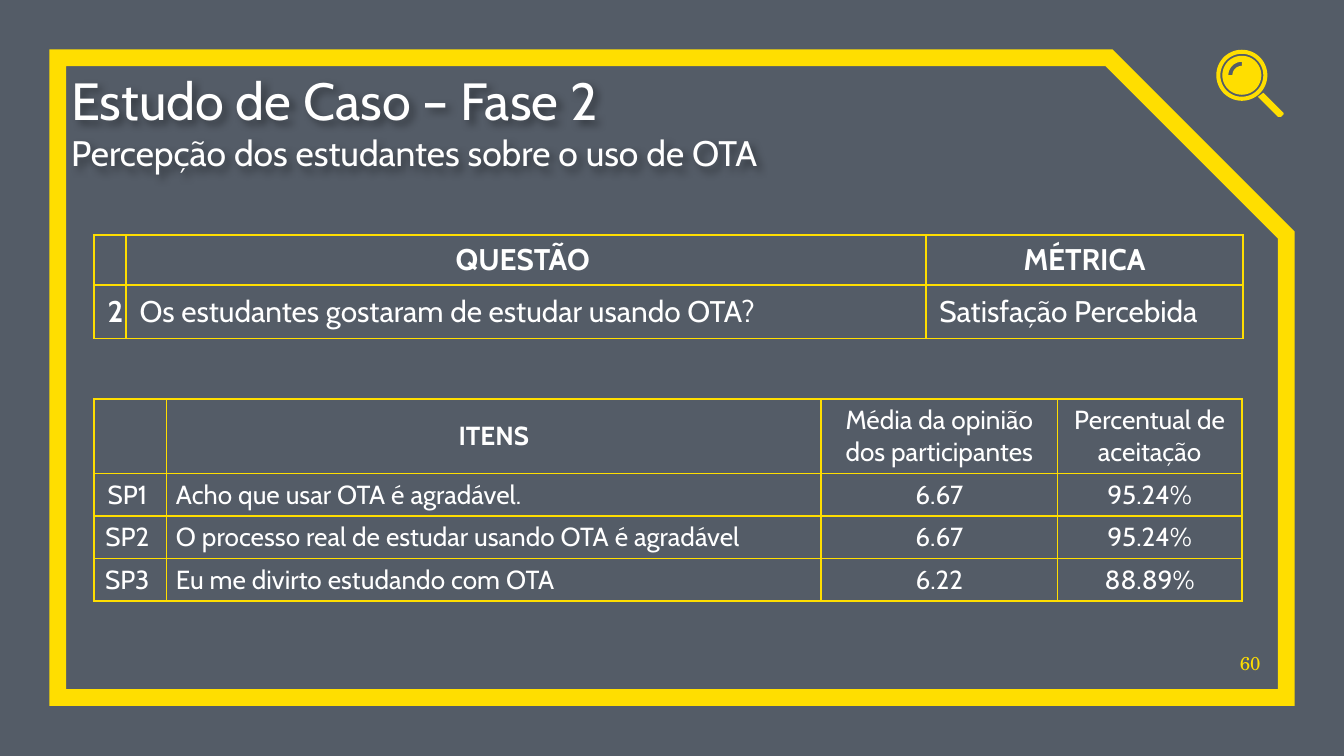
import math
from dataclasses import dataclass

import pptx
import pptx.dml.color
import pptx.enum.shapes
import pptx.enum.text
import pptx.oxml
import pptx.oxml.ns
import pptx.util
from pptx.util import Inches

YELLOW, WHITE, SLATE = "FFDE00", "FFFFFF", "545C67"
FONT = "Cabin"
NS = pptx.oxml.ns.nsdecls("a")
ALIGN = pptx.enum.text.PP_ALIGN
ANCHOR = pptx.enum.text.MSO_ANCHOR
SHAPE = pptx.enum.shapes.MSO_SHAPE
Point = tuple[float, float]


@dataclass
class Cell:
    text: str = ""
    bold: bool = False
    left: bool = False


@dataclass
class Grid:
    top: float
    size: int
    cols: list[float]
    rows: list[float]
    cells: list[list[Cell]]
    pad: tuple[float, float] = (0.1, 0.05)


# Rows grow to fit their text, so these heights are the least ones.
GRIDS = [
    Grid(1.75, 16, [0.23, 5.95, 2.36], [0.28, 0.4], [
        [Cell(), Cell("QUESTÃO ", bold=True), Cell("MÉTRICA", bold=True)],
        [Cell("2", bold=True),
         Cell("Os estudantes gostaram de estudar usando OTA?", left=True),
         Cell("Satisfação Percebida", left=True)],
    ]),
    Grid(2.97, 14, [0.54, 4.87, 1.76, 1.37], [0.32, 0.2, 0.25, 0.25], [
        [Cell(), Cell("ITENS", bold=True),
         Cell("Média da opinião\ndos participantes"),
         Cell("Percentual de\naceitação")],
        *([Cell(code), Cell(item, left=True), Cell(mean), Cell(rate)]
          for code, item, mean, rate in [
              ("SP1 ", "Acho que usar OTA é agradável.", "6.67", "95.24%"),
              ("SP2 ", "O processo real de estudar usando OTA é agradável",
               "6.67", "95.24%"),
              ("SP3 ", "Eu me divirto estudando com OTA", "6.22", "88.89%"),
          ]),
    ], (0.07, 0.04)),
]


def color(code: str) -> pptx.dml.color.RGBColor:
    return pptx.dml.color.RGBColor.from_string(code)


def paint(fill, code: str) -> None:
    fill.solid()
    fill.fore_color.rgb = color(code)


def style(run, size: float, code: str = WHITE, name: str = FONT,
          bold: bool = False) -> None:
    form = {"size": pptx.util.Pt(size), "name": name, "bold": bold}
    for key, value in form.items():
        setattr(run.font, key, value)
    run.font.color.rgb = color(code)


def setup(frame) -> None:
    """Drop the insets and seat the text at the bottom."""
    form = {"margin_left": 0, "margin_right": 0, "margin_top": 0,
            "margin_bottom": 0, "word_wrap": True,
            "vertical_anchor": ANCHOR.BOTTOM,
            "auto_size": pptx.enum.text.MSO_AUTO_SIZE.NONE}
    for key, value in form.items():
        setattr(frame, key, value)


def place(shape, left: float, top: float, width: float, height: float) -> None:
    shape.left, shape.top = Inches(left), Inches(top)
    shape.width, shape.height = Inches(width), Inches(height)


def draw_frame(slide) -> None:
    frame = slide.shapes.add_shape(
        SHAPE.SNIP_1_RECTANGLE, Inches(0.43), Inches(0.43),
        Inches(9.14), Inches(4.76))
    frame.adjustments[0] = 0.277
    frame.shadow.inherit = False
    frame.fill.background()
    paint(frame.line.fill, YELLOW)
    frame.line.width = pptx.util.Pt(9)
    frame.line._get_or_add_ln().append(
        pptx.oxml.parse_xml(f'<a:miter {NS} lim="800000"/>'))


def draw_title(slide) -> None:
    title = slide.shapes.title
    place(title, 0.53, 0.54, 8.41, 0.75)
    frame = title.text_frame
    frame.text = ("Estudo de Caso – Fase 2\n"
                  "Percepção dos estudantes sobre o uso de OTA")
    setup(frame)
    for para, size in zip(frame.paragraphs, (28, 19)):
        para.alignment = ALIGN.LEFT
        style(para.runs[0], size)
    title.fill.background()
    title._element.spPr.append(pptx.oxml.parse_xml(
        f'<a:effectLst {NS}><a:outerShdw blurRad="50800" dist="38100" '
        'dir="2700000" algn="tl" rotWithShape="0"><a:srgbClr val="000000">'
        '<a:alpha val="40000"/></a:srgbClr></a:outerShdw></a:effectLst>'))


def draw_page(slide) -> None:
    box = slide.shapes.add_textbox(
        Inches(9.11), Inches(4.74), Inches(0.27), Inches(0.28))
    setup(box.text_frame)
    para = box.text_frame.paragraphs[0]
    para.alignment = ALIGN.RIGHT
    run = para.add_run()
    run.text = "60"
    style(run, 10, YELLOW, "TeX Gyre Schola")


def arc(radius: float, start: int = 0, end: int = 360) -> list[Point]:
    """Points round the centre of the lens, in degrees."""
    step = 6 if end > start else -6
    return [(9.24 + radius * math.cos(math.radians(a)),
             0.56 + radius * math.sin(math.radians(a)))
            for a in range(start, end + step, step)]


def draw_lens(slide) -> None:
    group = slide.shapes.add_group_shape()
    glint = arc(0.1, 180, 270) + arc(0.07, 270, 180)
    grip = [(9.4, 0.69), (9.36, 0.72), (9.51, 0.87), (9.53, 0.87),
            (9.55, 0.85), (9.55, 0.84)]
    for paths in ([arc(0.19), arc(0.16)], [arc(0.145), glint], [grip]):
        paths = [[(Inches(x), Inches(y)) for x, y in path] for path in paths]
        first, *holes = paths
        pen = group.shapes.build_freeform(*first[0], scale=1.0)
        pen.add_line_segments(first[1:], close=True)
        for hole in holes:
            pen.move_to(*hole[0])
            pen.add_line_segments(hole[1:], close=True)
        part = pen.convert_to_shape()
        part.shadow.inherit = False
        paint(part.fill, YELLOW)
        part.line.fill.background()


def edge(cell) -> None:
    """Give the cell a thin yellow border on each side."""
    props = cell._tc.get_or_add_tcPr()
    for spot, side in enumerate(("lnL", "lnR", "lnT", "lnB")):
        props.insert(spot, pptx.oxml.parse_xml(
            f'<a:{side} {NS} w="12700"><a:solidFill>'
            f'<a:srgbClr val="{YELLOW}"/></a:solidFill></a:{side}>'))


def draw_cell(cell, data: Cell, grid: Grid) -> None:
    cell.fill.background()
    edge(cell)
    cell.vertical_anchor = ANCHOR.MIDDLE
    cell.margin_left = cell.margin_right = Inches(grid.pad[0])
    cell.margin_top = cell.margin_bottom = Inches(grid.pad[1])
    cell.text = data.text
    for para in cell.text_frame.paragraphs:
        para.alignment = ALIGN.LEFT if data.left else ALIGN.CENTER
        for run in para.runs:
            style(run, grid.size, bold=data.bold)
        if not para.runs:
            para._p.append(pptx.oxml.parse_xml(
                f'<a:endParaRPr {NS} sz="{grid.size * 100}">'
                f'<a:latin typeface="{FONT}"/></a:endParaRPr>'))


def draw_grid(slide, grid: Grid) -> None:
    table = slide.shapes.add_table(
        len(grid.rows), len(grid.cols), Inches(0.7), Inches(grid.top),
        Inches(sum(grid.cols)), Inches(sum(grid.rows))).table
    table.first_row = table.horz_banding = False
    for col, width in zip(table.columns, grid.cols):
        col.width = Inches(width)
    for row, height, line in zip(table.rows, grid.rows, grid.cells):
        row.height = Inches(height)
        for cell, data in zip(row.cells, line):
            draw_cell(cell, data, grid)


def main() -> None:
    deck = pptx.Presentation()
    deck.slide_width = Inches(10)
    deck.slide_height = deck.slide_width * 9 // 16
    slide = deck.slides.add_slide(deck.slide_layouts[5])
    paint(slide.background.fill, SLATE)
    draw_frame(slide)
    draw_page(slide)
    draw_lens(slide)
    draw_title(slide)
    for grid in GRIDS:
        draw_grid(slide, grid)
    deck.save("out.pptx")


if __name__ == "__main__":
    main()
